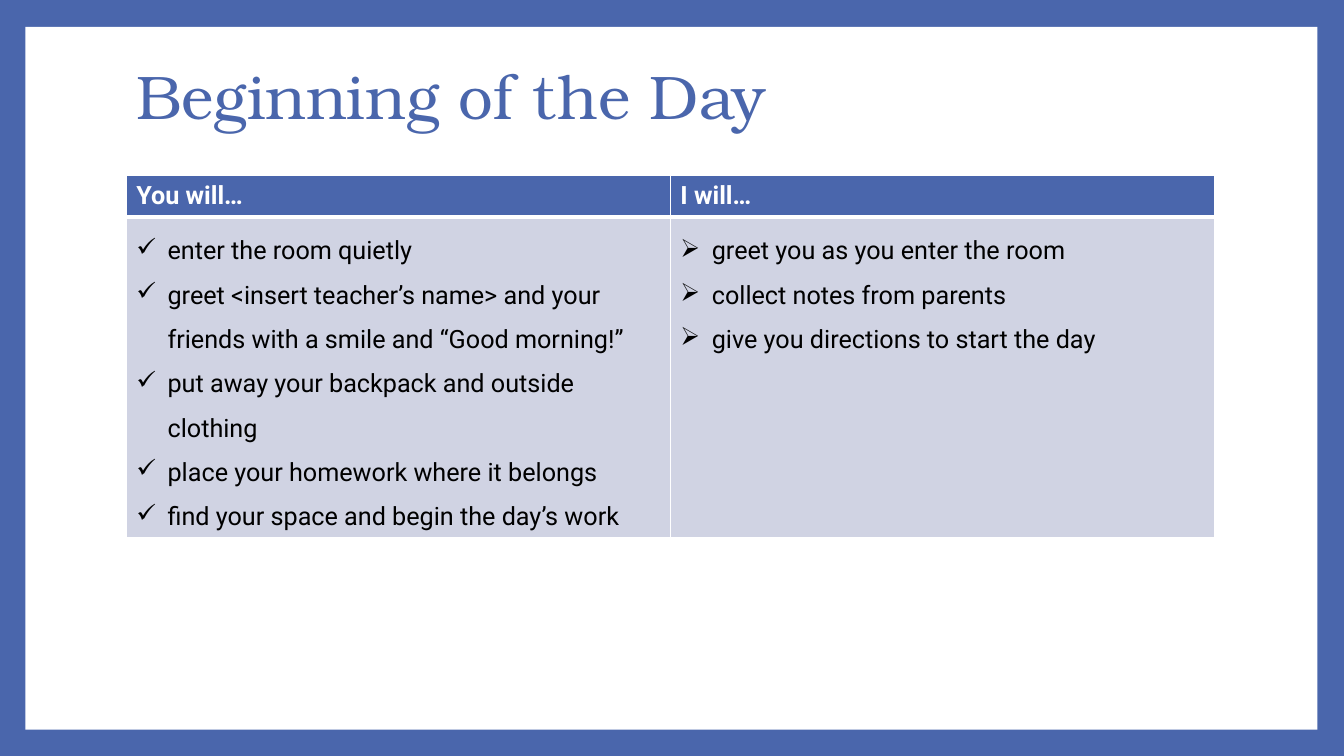
from lxml.etree import SubElement
from pptx import Presentation
from pptx.dml.color import RGBColor as RGB
from pptx.enum.shapes import MSO_SHAPE as Shape
from pptx.enum.text import MSO_ANCHOR as Anchor, MSO_AUTO_SIZE as AutoSize, PP_ALIGN as Align
from pptx.oxml import parse_xml
from pptx.oxml.ns import nsdecls, qn
from pptx.util import Cm, Pt

TITLE = "Beginning of the Day"
COLUMNS = [
    ("You will…", "✓", [
        "enter the room quietly",
        "greet <insert teacher’s name> and your friends with a smile and “Good morning!”",
        "put away your backpack and outside clothing",
        "place your homework where it belongs",
        "find your space and begin the day’s work",
    ]),
    ("I will…", "➢", [
        "greet you as you enter the room",
        "collect notes from parents",
        "give you directions to start the day",
    ]),
]
COLORS = {"blue": "4A66AC", "pale": "D0D3E3", "white": "FFFFFF", "black": "000000"}
TITLE_FONT, BODY_FONT = "TeX Gyre Bonum", "Roboto"
LEFT, WIDTH = Cm(3.18), Cm(27.43)
ROW_HEIGHTS = [Cm(1.03), Cm(8.09)]
INDENT = Cm(0.79)


def color(name):
    return RGB.from_string(COLORS[name])


def style(paragraph, size, font, ink, bold=False):
    for run in paragraph.runs:
        run.font.size, run.font.name, run.font.bold = Pt(size), font, bold
        run.font.color.rgb = color(ink)


def add_bullet(paragraph, mark):
    paragraph.line_spacing = 1.5
    props = paragraph._p.get_or_add_pPr()
    props.set("marL", str(INDENT))
    props.set("indent", str(-INDENT))
    SubElement(props, qn("a:buChar")).set("char", mark)


def paint_cell(cell, fill, top, bottom):
    cell.fill.solid()
    cell.fill.fore_color.rgb = color(fill)
    props = cell._tc.get_or_add_tcPr()
    for place, (side, points) in enumerate(zip("LRTB", (1, 1, top, bottom))):
        props.insert(place, parse_xml(
            f'<a:ln{side} {nsdecls("a")} w="{Pt(points)}"><a:solidFill>'
            f'<a:srgbClr val="{COLORS["white"]}"/></a:solidFill></a:ln{side}>'))


deck = Presentation()
deck.slide_width, deck.slide_height = Cm(33.87), Cm(19.05)
slide = deck.slides.add_slide(deck.slide_layouts[5])
slide.background.fill.solid()
slide.background.fill.fore_color.rgb = color("blue")

title = slide.shapes.title
title.left, title.top, title.width, title.height = LEFT, Cm(0.64), WIDTH, Cm(3.76)
heading = title.text_frame
heading.text = TITLE
heading.word_wrap = True
heading.auto_size = AutoSize.NONE
heading.vertical_anchor = Anchor.MIDDLE
heading.paragraphs[0].alignment = Align.LEFT
heading.paragraphs[0].line_spacing = 0.9
style(heading.paragraphs[0], 44, TITLE_FONT, "blue")

panel = slide.shapes.add_shape(Shape.RECTANGLE, Cm(0.64), Cm(0.68), Cm(32.56), Cm(17.71))
panel.shadow.inherit = False
panel.fill.solid()
panel.fill.fore_color.rgb = color("white")
panel.line.fill.background()
title.element.addprevious(panel.element)

table = slide.shapes.add_table(2, len(COLUMNS), LEFT, Cm(4.43), WIDTH, sum(ROW_HEIGHTS)).table
table.horz_banding = False
for row, height in zip(table.rows, ROW_HEIGHTS):
    row.height = height

for col, (header, mark, duties) in enumerate(COLUMNS):
    head, body = table.cell(0, col), table.cell(1, col)
    head.text_frame.text = header
    style(head.text_frame.paragraphs[0], 18, BODY_FONT, "white", True)
    paint_cell(head, "blue", 1, 3)
    body.text_frame.text = "\n".join(duties)
    for duty in body.text_frame.paragraphs:
        add_bullet(duty, mark)
        style(duty, 18, BODY_FONT, "black")
    paint_cell(body, "pale", 3, 1)

deck.save("out.pptx")
